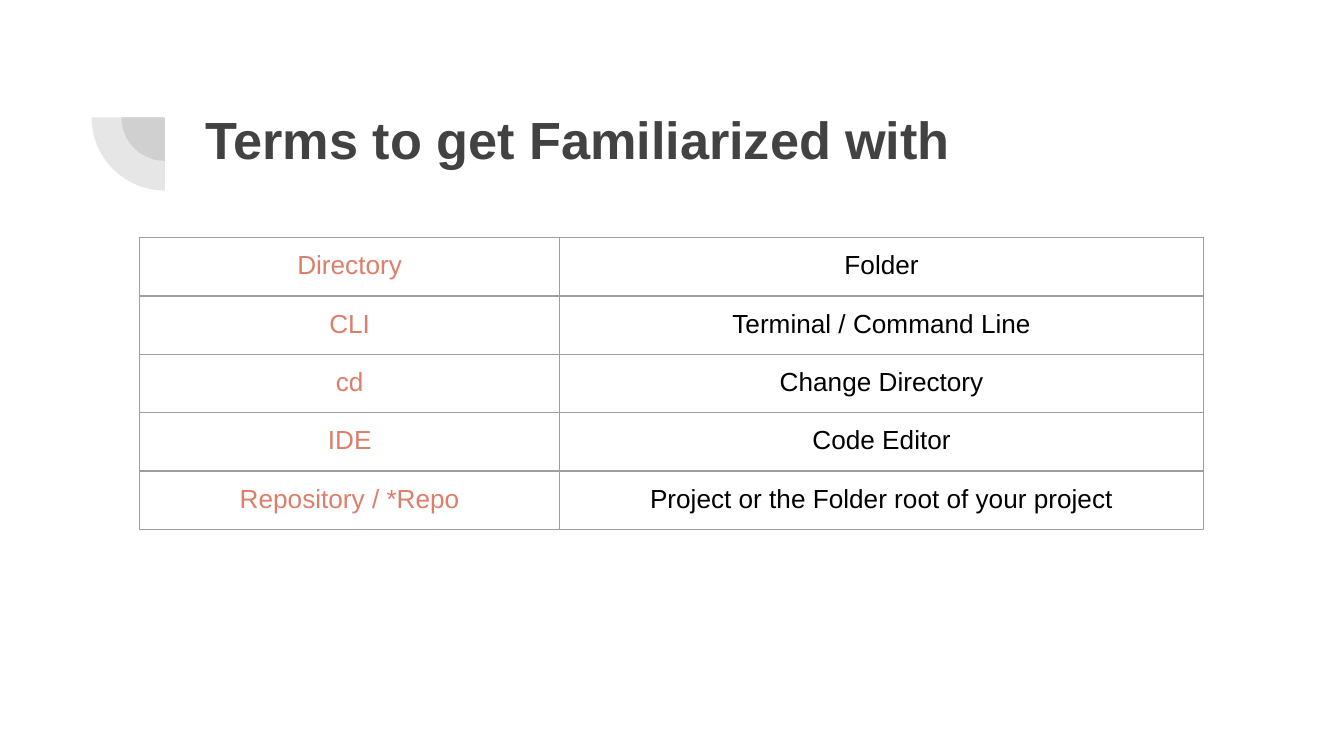
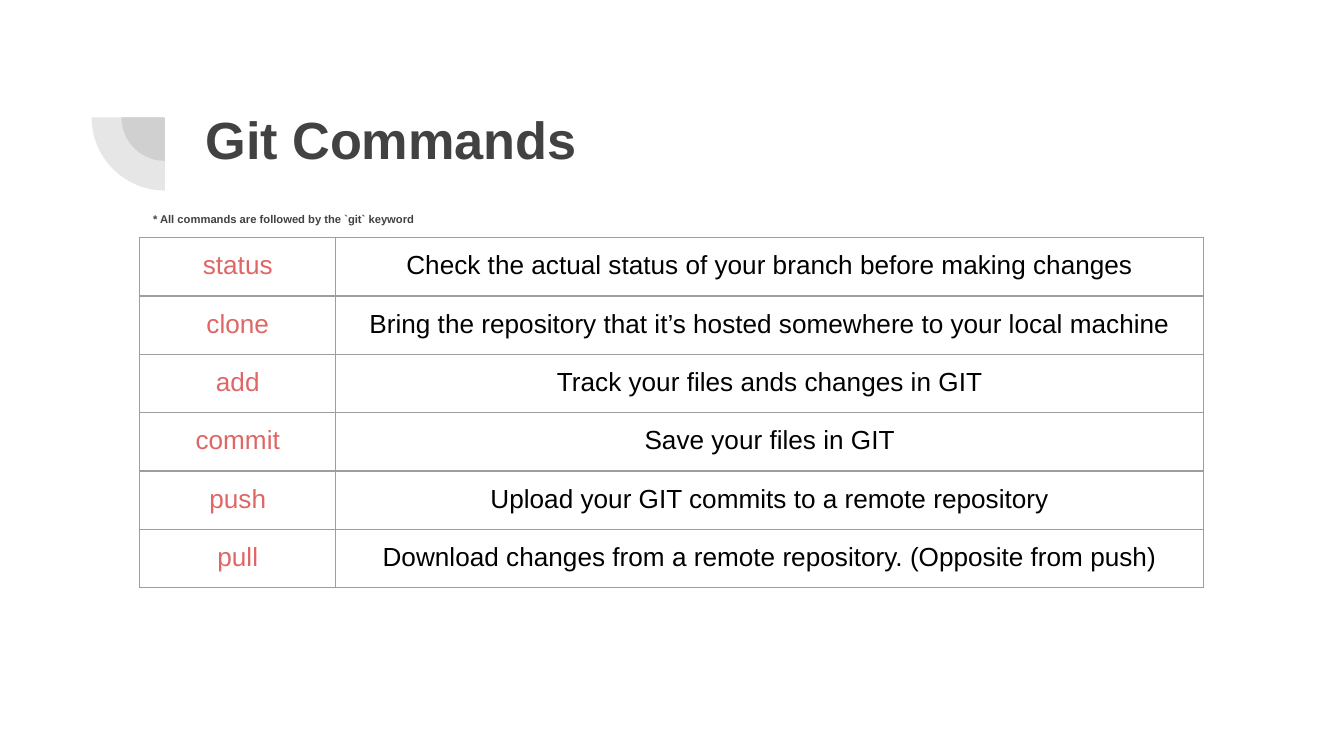
"""Build two slides of terms and Git commands, each a titled two-column table."""
from dataclasses import dataclass

from lxml import etree
from pptx import Presentation
from pptx.dml.color import RGBColor
from pptx.enum import shapes, text
from pptx.oxml.ns import qn
from pptx.util import Pt


@dataclass(frozen=True)
class Theme:
    font: str = "Arial"
    dark: str = "424242"
    black: str = "000000"
    salmon: str = "DD7E6B"
    red: str = "E06666"
    border: str = "9E9E9E"
    border_pt: float = 0.75
    pie_alpha: int = 13
    title_pt: int = 28
    body_pt: int = 14
    note_pt: int = 6
    inset: float = 7.2
    title_inset: float = 10.5


T = Theme()
TABLE_LEFT, TABLE_TOP, ROW_HEIGHT = 74.9, 127.4, 30.2
TEXT_WIDTH = 553.7
PIE_CENTER = (88.4, 62.8)
PIE_RADII = (23.4, 39.3)

TERMS = [
    ("Directory", "Folder"),
    ("CLI", "Terminal / Command Line"),
    ("cd", "Change Directory"),
    ("IDE", "Code Editor"),
    ("Repository / *Repo", "Project or the Folder root of your project"),
]
COMMANDS = [
    ("status", "Check the actual status of your branch before making changes"),
    ("clone", "Bring the repository that it’s hosted somewhere to your local machine"),
    ("add", "Track your files ands changes in GIT"),
    ("commit", "Save your files in GIT"),
    ("push", "Upload your GIT commits to a remote repository"),
    ("pull", "Download changes from a remote repository. (Opposite from push)"),
]


def set_attrs(obj, values):
    for name, value in values.items():
        setattr(obj, name, value)


def add_run(p, words, size, color, bold=False):
    r = p.add_run()
    r.text = words
    set_attrs(r.font, {"name": T.font, "size": Pt(size), "bold": bold})
    r.font.color.rgb = RGBColor.from_string(color)


def add_corner(s):
    cx, cy = PIE_CENTER
    for radius in PIE_RADII:
        sp = s.shapes.add_shape(shapes.MSO_SHAPE.PIE, Pt(cx - radius), Pt(cy - radius),
                                Pt(2 * radius), Pt(2 * radius))
        sp.adjustments[0], sp.adjustments[1] = 108, 162
        sp.rotation = 270
        sp.shadow.inherit = False
        sp.line.fill.background()
        sp.fill.solid()
        sp.fill.fore_color.rgb = RGBColor.from_string(T.dark)
        color = sp.fill._xPr.find(".//" + qn("a:srgbClr"))
        etree.SubElement(color, qn("a:alpha"), val=str(T.pie_alpha * 1000))


def add_heading(s, words, left, top, height, size, top_inset=T.inset):
    tf = s.shapes.add_textbox(Pt(left), Pt(top), Pt(TEXT_WIDTH), Pt(height)).text_frame
    set_attrs(tf, {
        "word_wrap": True, "vertical_anchor": text.MSO_ANCHOR.TOP,
        "margin_left": Pt(T.inset), "margin_right": Pt(T.inset),
        "margin_top": Pt(top_inset), "margin_bottom": Pt(T.inset),
    })
    add_run(tf.paragraphs[0], words, size, T.dark, bold=True)


def add_borders(cell):
    tc_pr = cell._tc.get_or_add_tcPr()
    for side in ("lnL", "lnR", "lnT", "lnB"):
        ln = etree.SubElement(tc_pr, qn("a:" + side), w=str(Pt(T.border_pt)))
        fill = etree.SubElement(ln, qn("a:solidFill"))
        etree.SubElement(fill, qn("a:srgbClr"), val=T.border)


def add_glossary(s, rows, widths, key_color):
    table = s.shapes.add_table(len(rows), len(widths), Pt(TABLE_LEFT), Pt(TABLE_TOP),
                               Pt(sum(widths)), Pt(ROW_HEIGHT * len(rows))).table
    set_attrs(table, {"first_row": False, "horz_banding": False})
    for column, width in zip(table.columns, widths):
        column.width = Pt(width)
    for row, words in zip(table.rows, rows):
        row.height = Pt(ROW_HEIGHT)
        for cell, word, color in zip(row.cells, words, (key_color, T.black)):
            set_attrs(cell, {"margin_" + side: Pt(T.inset)
                             for side in ("left", "right", "top", "bottom")})
            add_borders(cell)
            cell.fill.background()
            p = cell.text_frame.paragraphs[0]
            p.alignment = text.PP_ALIGN.CENTER
            add_run(p, word, T.body_pt, color)


def add_slide(prs, title, title_height, rows, widths, key_color):
    s = prs.slides.add_slide(prs.slide_layouts[6])
    add_corner(s)
    add_heading(s, title, 103, 46.8, title_height, T.title_pt, T.title_inset)
    add_glossary(s, rows, widths, key_color)
    return s


def main():
    prs = Presentation()
    set_attrs(prs, {"slide_width": Pt(720), "slide_height": Pt(405)})
    add_slide(prs, "Terms to get Familiarized with", 78.5, TERMS, (224.9, 345.1), T.salmon)
    s = add_slide(prs, "Git Commands", 39.6, COMMANDS, (105, 465), T.red)
    add_heading(s, "* All commands are followed by the `git` keyword",
                TABLE_LEFT, 110.2, 17.3, T.note_pt)
    prs.save("out.pptx")


if __name__ == "__main__":
    main()
